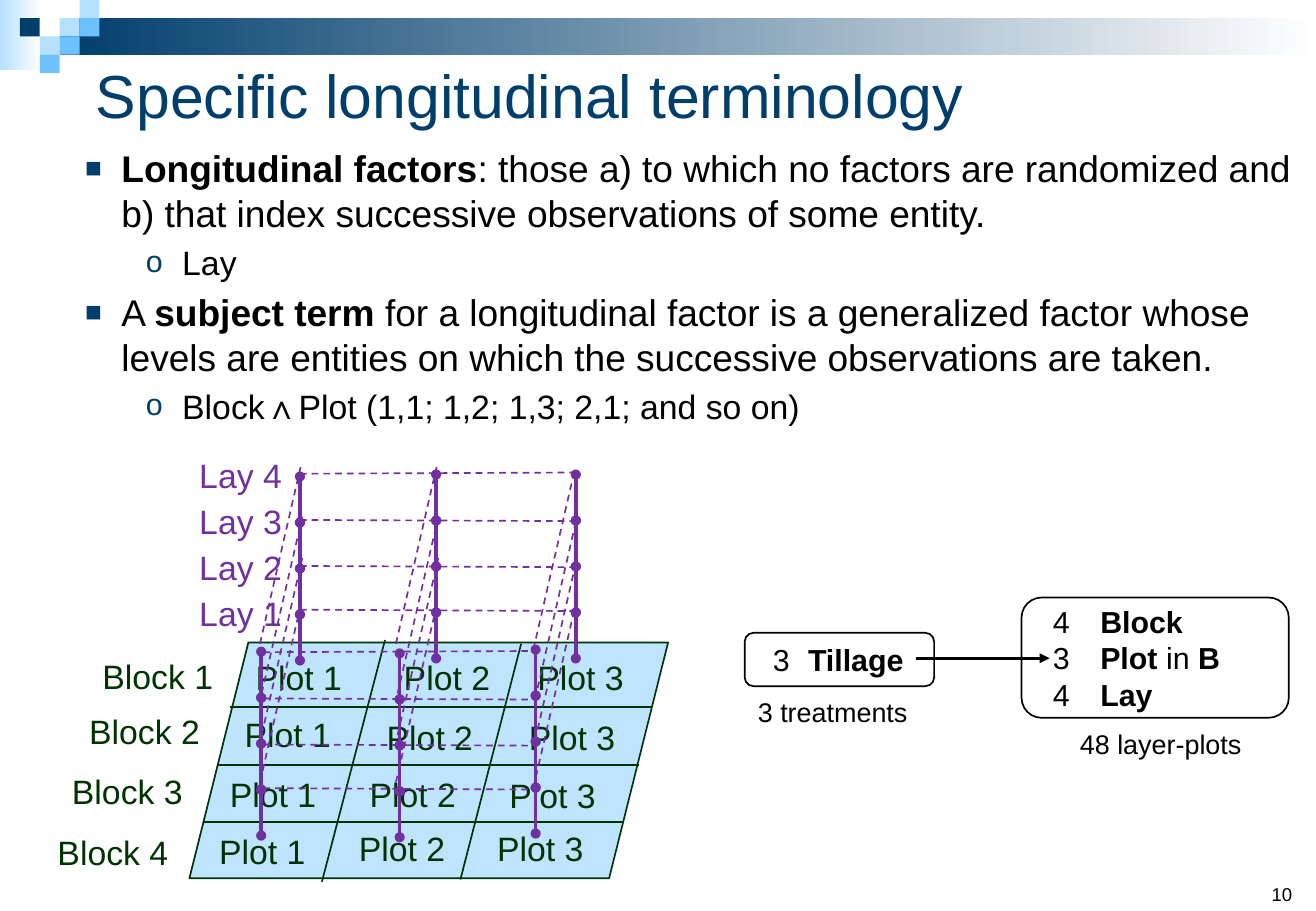
"""Build the slide on longitudinal terminology with its layered plot diagram."""
from dataclasses import dataclass
from typing import Any

from lxml import etree
from pptx import Presentation
from pptx import util as u
from pptx.dml.color import RGBColor
from pptx.enum import dml, shapes, text
from pptx.oxml import ns

Run = tuple[str, bool]
Point = tuple[float, float]
Box = tuple[float, float, float, float]


@dataclass(frozen=True)
class Theme:
    font: str = "Arial"
    navy: str = "003E6C"
    sky: str = "6DC1FF"
    pale: str = "B6E0FF"
    field: str = "BFE4FF"
    green: str = "003300"
    purple: str = "7030A0"
    black: str = "000000"
    white: str = "FFFFFF"
    title: int = 36
    body: int = 22
    label: int = 20
    panel: int = 18
    caption: int = 16
    number: int = 11


@dataclass(frozen=True)
class Label:
    words: str
    box: Box
    color: str
    size: int
    align: Any = text.PP_ALIGN.CENTER
    anchor: Any = text.MSO_ANCHOR.TOP


@dataclass(frozen=True)
class Line:
    start: Point
    end: Point
    color: str
    width: float = 1
    dash: bool = False
    head: str = ""
    tail: str = ""


@dataclass(frozen=True)
class Panel:
    box: Box
    indent: float
    hang: float
    rows: list[list[Run]]


@dataclass(frozen=True)
class Bullet:
    level: int
    runs: list[Run]


T = Theme()
BULLETS = [
    Bullet(0, [("Longitudinal factors", True),
               (": those a) to which no factors are randomized and b) that index "
                "successive observations of some entity.", False)]),
    Bullet(1, [("Lay", False)]),
    Bullet(0, [("A ", False), ("subject term", True),
               (" for a longitudinal factor is a generalized factor whose levels are "
                "entities on which the successive observations are taken.", False)]),
    Bullet(1, [("Block∧Plot (1,1; 1,2; 1,3; 2,1; and so on)", False)]),
]
BULLET_STYLES = [("■", 75, 25.9, T.body), ("o", 90, 61.9, T.label)]
SQUARES = [(3, 1, T.pale), (4, 0, T.pale), (4, 1, T.sky), (2, 2, T.pale),
           (1, 1, T.navy), (3, 2, T.sky), (2, 3, T.sky)]
PANELS = [
    Panel((441.4, 375.1, 112.3, 31.7), 35.3, -20.9, [[("3\t", False), ("Tillage", True)]]),
    Panel((605.5, 354.2, 158.4, 71.3), 42.5, -28.1, [
        [("4\t", False), ("Block", True)],
        [("3\t", False), ("Plot ", True), ("in ", False), ("B", True)],
        [("4\t", False), ("Lay", True)]]),
]
BLOCKS = [(48.2, 385.2), (40.3, 417.6), (30.2, 453.6), (21.6, 489.6)]
PLOTS = [
    [(131.8, 385.9), (125.3, 419.8), (116.6, 455), (110.2, 488.9)],
    [(219.6, 385.9), (209.5, 421.2), (199.4, 455), (193, 487.4)],
    [(298.8, 385.9), (293.8, 421.2), (282.2, 455.8), (275, 487.4)],
]
DIVIDERS = [((190.8, 522.7), (228.2, 379.4)), ((272.9, 521.3), (308.9, 381.6))] + [
    ((x, y), (x + 249.8, y)) for x, y in [(136.1, 419), (128.9, 453.6), (120.2, 487.4)]]
POSTS = [(177.8, 391.5), (341.3, 390.3), (258.5, 390.3),
         (154.8, 495.3), (317.5, 494.1), (236.9, 496.3)]
LAYER_STEP = 27.25
LAYER_EDGES = [(280.8, 280.1), (308.2, 308.9), (335.5, 336.2), (361.4, 362.2)]
FRAMES = [(177.8, 0), (156.2, 105.8)]
SLANT_TOPS = [(316.1, 385.2), (234.7, 381.6), (154.1, 381.6)]
SLANT_STEPS = [(0, 0), (1, 29.5), (0, 82.1), (1, 54)]


def place(sp: Any, box: Box) -> None:
    """Move a shape to a box given in points."""
    for name, value in zip(("left", "top", "width", "height"), box):
        setattr(sp, name, u.Pt(value))


def add_run(p: Any, words: str, size: int, color: str, bold: bool = False) -> None:
    """Add a formatted run to a paragraph."""
    r = p.add_run()
    r.text = words
    for name, value in {"name": T.font, "size": u.Pt(size), "bold": bold}.items():
        setattr(r.font, name, value)
    r.font.color.rgb = RGBColor.from_string(color)


def add_shape(s: Any, kind: Any, box: Box, fill: str = "", line: str = "", fade: str = "") -> Any:
    """Add a flat shape, with a plain fill, a fading fill or none."""
    sp = s.shapes.add_shape(kind, *map(u.Pt, box))
    sp.shadow.inherit = False
    if fade:
        sp.fill.gradient()
        sp.fill.gradient_angle = 0
        for stop, color in zip(sp.fill.gradient_stops, (fill, fade)):
            stop.color.rgb = RGBColor.from_string(color)
    elif fill:
        sp.fill.solid()
        sp.fill.fore_color.rgb = RGBColor.from_string(fill)
    else:
        sp.fill.background()
    if line:
        sp.line.color.rgb = RGBColor.from_string(line)
        sp.line.width = u.Pt(1)
    else:
        sp.line.fill.background()
    return sp


def add_line(s: Any, line: Line) -> None:
    """Draw a straight line with its dash and end marks."""
    sp = s.shapes.add_connector(shapes.MSO_CONNECTOR.STRAIGHT,
                                *map(u.Pt, line.start + line.end))
    sp.line.color.rgb = RGBColor.from_string(line.color)
    sp.line.width = u.Pt(line.width)
    if line.dash:
        sp.line.dash_style = dml.MSO_LINE.DASH
    ln = sp.line._get_or_add_ln()
    for tag, mark in (("a:headEnd", line.head), ("a:tailEnd", line.tail)):
        if mark:
            etree.SubElement(ln, ns.qn(tag), type=mark)
    etree.SubElement(sp._element.spPr, ns.qn("a:effectLst"))


def add_label(s: Any, label: Label) -> None:
    """Add a one-line text box."""
    tf = s.shapes.add_textbox(*map(u.Pt, label.box)).text_frame
    for name, value in {"word_wrap": True, "vertical_anchor": label.anchor}.items():
        setattr(tf, name, value)
    p = tf.paragraphs[0]
    p.alignment = label.align
    add_run(p, label.words, label.size, label.color)


def set_indent(p: Any, left: float, hang: float) -> Any:
    """Set the paragraph indents and return its properties element."""
    pPr = p._p.get_or_add_pPr()
    for name, value in {"marL": left, "indent": hang}.items():
        pPr.set(name, str(int(u.Pt(value))))
    return pPr


def add_panel(s: Any, panel: Panel) -> None:
    """Draw a rounded panel of factor levels and names."""
    tf = add_shape(s, shapes.MSO_SHAPE.ROUNDED_RECTANGLE, panel.box, line=T.black).text_frame
    for name, value in {"margin_left": u.Pt(0.7), "margin_right": u.Pt(0.7),
                        "margin_top": u.Pt(1.4), "margin_bottom": u.Pt(1.4),
                        "vertical_anchor": text.MSO_ANCHOR.MIDDLE}.items():
        setattr(tf, name, value)
    for i, row in enumerate(panel.rows):
        p = tf.add_paragraph() if i else tf.paragraphs[0]
        p.alignment = text.PP_ALIGN.LEFT
        set_indent(p, panel.indent, panel.hang)
        for words, bold in row:
            add_run(p, words, T.panel, T.black, bold)


def fill_body(sp: Any) -> None:
    """Write the bulleted list in the body placeholder."""
    tf = sp.text_frame
    tf.auto_size = text.MSO_AUTO_SIZE.NONE
    for i, bullet in enumerate(BULLETS):
        char, percent, left, size = BULLET_STYLES[bullet.level]
        p = tf.add_paragraph() if i else tf.paragraphs[0]
        p.level = bullet.level
        p.space_before = u.Pt(size * 0.2 if i else 0)
        pPr = set_indent(p, left, -21.6)
        color = etree.SubElement(pPr, ns.qn("a:buClr"))
        etree.SubElement(color, ns.qn("a:srgbClr"), val=T.navy)
        etree.SubElement(pPr, ns.qn("a:buSzPct"), val=str(percent * 1000))
        etree.SubElement(pPr, ns.qn("a:buFont"), typeface=T.font)
        etree.SubElement(pPr, ns.qn("a:buChar"), char=char)
        for words, bold in bullet.runs:
            add_run(p, words, size, T.black, bold)


def add_banner(s: Any) -> None:
    """Draw the fading bar and the mosaic at the top."""
    rect = shapes.MSO_SHAPE.RECTANGLE
    add_shape(s, rect, (0, 0, 24.5, 41.8), T.pale, fade=T.white)
    add_shape(s, rect, (35.3, 10.8, 744.7, 21.6), T.navy, fade=T.white)
    for col, row, color in SQUARES:
        add_shape(s, rect, (col * 11.8, row * 10.8, 11.8, 10.8), color)


def add_field(s: Any) -> None:
    """Draw the field of blocks and plots."""
    add_shape(s, shapes.MSO_SHAPE.PARALLELOGRAM, (112.3, 380.9, 283.7, 139.7), T.field, T.green)
    for start, end in DIVIDERS:
        add_line(s, Line(start, end, T.green))
    for i, (x, y) in enumerate(BLOCKS, 1):
        add_label(s, Label(f"Block {i}", (x, y, 90.7, 31.7), T.green, T.label))
    for i, column in enumerate(PLOTS, 1):
        for x, y in column:
            add_label(s, Label(f"Plot {i}", (x, y, 90.7, 31.7), T.green, T.label))


def add_layers(s: Any) -> None:
    """Draw the lays above the field as posts joined by dashed lines."""
    for i in range(4):
        add_label(s, Label(f"Lay {i + 1}", (106.6, 347.8 - i * LAYER_STEP, 72, 31.7),
                           T.purple, T.label))
    for x, y in POSTS:
        for i in range(4):
            low = y - i * LAYER_STEP
            add_line(s, Line((x, low), (x, low - LAYER_STEP), T.purple, 2,
                             head="oval", tail="oval"))
    for x, drop in FRAMES:
        for y1, y2 in LAYER_EDGES:
            add_line(s, Line((x, y1 + drop), (x + 161.3, y2 + drop), T.purple, dash=True))
    for x, y in SLANT_TOPS:
        for dx, dy in SLANT_STEPS:
            add_line(s, Line((x + dx, y + dy), (x + dx + 24.1, y + dy - 104.8),
                             T.purple, dash=True))


def main() -> None:
    """Build and save the slide."""
    prs = Presentation()
    prs.slide_width, prs.slide_height = u.Pt(780), u.Pt(540)
    s = prs.slides.add_slide(prs.slide_layouts[1])
    title, body = s.placeholders
    add_banner(s)
    place(title, (49.7, 24.5, 705.6, 62.6))
    title.text_frame.vertical_anchor = text.MSO_ANCHOR.MIDDLE
    p = title.text_frame.paragraphs[0]
    p.alignment = text.PP_ALIGN.LEFT
    add_run(p, "Specific longitudinal terminology", T.title, T.navy)
    place(body, (38.9, 82.8, 740.9, 182.9))
    fill_body(body)
    for panel in PANELS:
        add_panel(s, panel)
    add_line(s, Line((542.9, 390.2), (622.1, 390.2), T.black, 1.5, tail="triangle"))
    for label in (
        Label("3 treatments", (429.1, 409, 128.9, 26.6), T.black, T.caption),
        Label("48 layer-plots", (623.5, 427.7, 128.9, 26.6), T.black, T.caption),
        Label("10", (746.6, 504, 33.1, 36), T.black, T.number,
              text.PP_ALIGN.LEFT, text.MSO_ANCHOR.BOTTOM),
    ):
        add_label(s, label)
    add_field(s)
    add_layers(s)
    prs.save("out.pptx")


if __name__ == "__main__":
    main()
